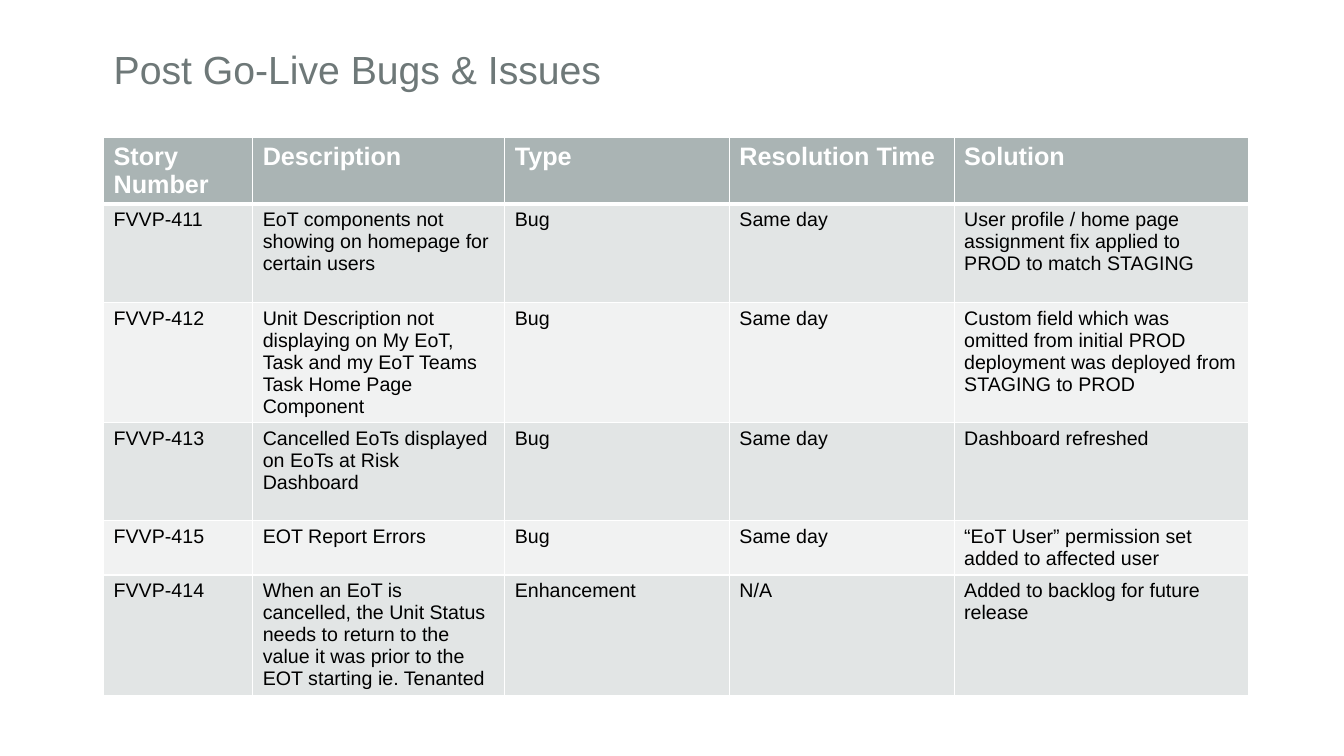
"""Build the post go-live bugs and issues slide."""
from lxml.etree import SubElement
from pptx import Presentation
from pptx.dml.color import RGBColor
from pptx.enum.text import MSO_ANCHOR as Anchor, PP_ALIGN as Align
from pptx.oxml.ns import qn
from pptx.util import Pt

TITLE = "Post Go-Live Bugs & Issues"
HEADERS = ("Story Number", "Description", "Type", "Resolution Time", "Solution")
ISSUES = [
    ("FVVP-411", "EoT components not showing on homepage for certain users", "Bug", "Same day",
     "User profile / home page assignment fix applied to PROD to match STAGING"),
    ("FVVP-412", "Unit Description not displaying on My EoT, Task and my EoT Teams Task "
     "Home Page Component", "Bug", "Same day",
     "Custom field which was omitted from initial PROD deployment was deployed from "
     "STAGING to PROD"),
    ("FVVP-413", "Cancelled EoTs displayed on EoTs at Risk Dashboard", "Bug", "Same day",
     "Dashboard refreshed"),
    ("FVVP-415", "EOT Report Errors", "Bug", "Same day",
     "“EoT User” permission set added to affected user"),
    ("FVVP-414", "When an EoT is cancelled, the Unit Status needs to return to the value it was "
     "prior to the EOT starting ie. Tenanted", "Enhancement", "N/A",
     "Added to backlog for future release"),
]
LEFT, TABLE_TOP = 74, 98
COL_WIDTHS = (106.5, 180, 160.5, 160.5, 210.5)
ROW_HEIGHTS = (46.5, 70.5, 86, 70, 38.5, 86.5)
HEADER_FILL, BAND_FILLS = "AAB4B4", ("E2E5E5", "F1F2F2")


def color(target, value):
    target.rgb = RGBColor.from_string(value)


def style(p, size, value, bold=False):
    for r in p.runs:
        r.font.name, r.font.size, r.font.bold = "Arial", Pt(size), bold
        color(r.font.color, value)


def add_borders(cell, bottom):
    tc_pr = cell._tc.get_or_add_tcPr()
    for side, width in (("L", 1), ("R", 1), ("T", 1), ("B", bottom)):
        ln = SubElement(tc_pr, qn(f"a:ln{side}"), w=str(Pt(width)))
        SubElement(SubElement(ln, qn("a:solidFill")), qn("a:srgbClr"), val="FFFFFF")


def add_title(s):
    title = s.shapes.title
    title.left, title.top, title.width, title.height = Pt(LEFT), Pt(29), Pt(679), Pt(45)
    tf = title.text_frame
    tf.text, tf.vertical_anchor, tf.word_wrap = TITLE, Anchor.MIDDLE, True
    p = tf.paragraphs[0]
    p.alignment, p.line_spacing = Align.LEFT, 0.9
    style(p, 28, "6E7878")


def add_issues(s):
    rows = [HEADERS] + ISSUES
    table = s.shapes.add_table(len(rows), len(HEADERS), Pt(LEFT), Pt(TABLE_TOP),
                               Pt(sum(COL_WIDTHS)), Pt(sum(ROW_HEIGHTS))).table
    for column, width in zip(table.columns, COL_WIDTHS):
        column.width = Pt(width)
    for i, (row, texts) in enumerate(zip(table.rows, rows)):
        row.height = Pt(ROW_HEIGHTS[i])
        header = i == 0
        for cell, text in zip(row.cells, texts):
            cell.text = text
            add_borders(cell, 3 if header else 1)
            cell.fill.solid()
            color(cell.fill.fore_color, HEADER_FILL if header else BAND_FILLS[(i - 1) % 2])
            style(cell.text_frame.paragraphs[0], 18 if header else 14,
                  "FFFFFF" if header else "000000", header)


def main():
    prs = Presentation()
    prs.slide_width, prs.slide_height = Pt(960), Pt(540)
    s = prs.slides.add_slide(prs.slide_layouts[5])
    add_title(s)
    add_issues(s)
    prs.save("out.pptx")


if __name__ == "__main__":
    main()
